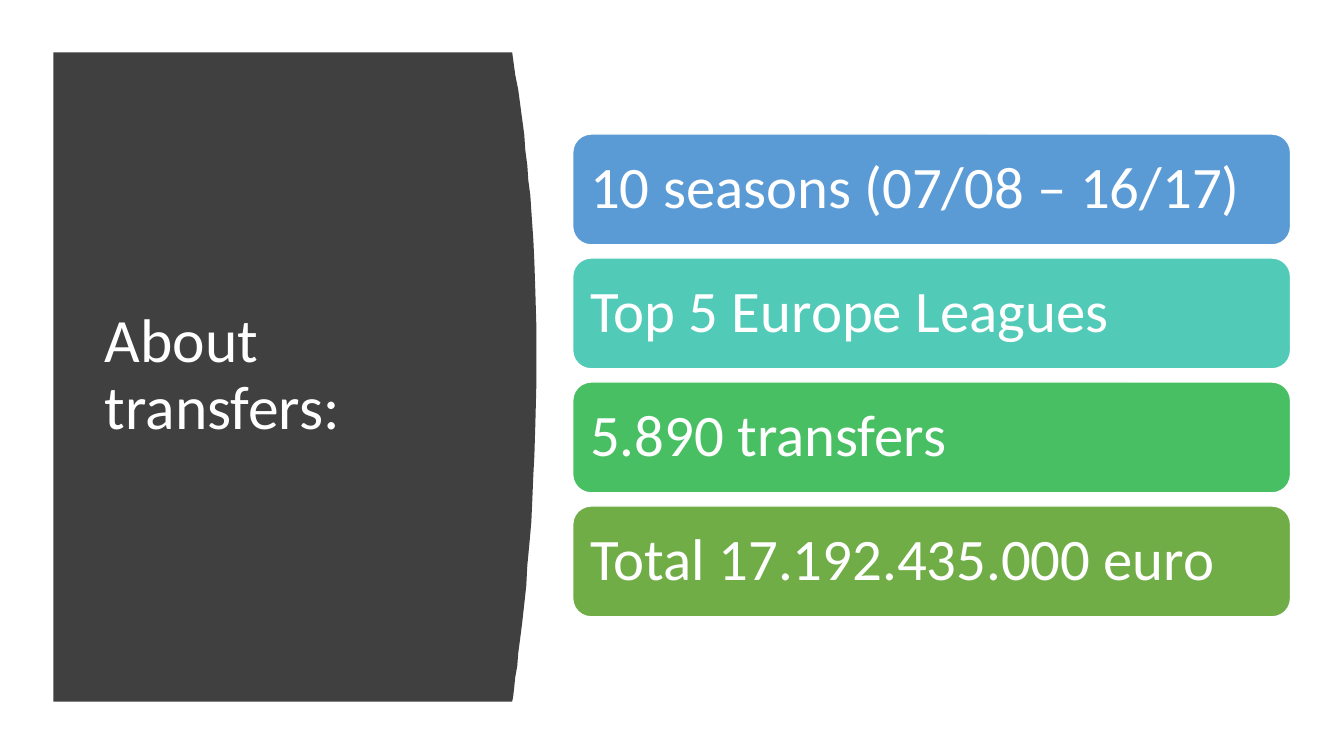
from dataclasses import dataclass

from pptx import Presentation
from pptx.dml.color import RGBColor
from pptx.enum.shapes import MSO_SHAPE
from pptx.enum.text import MSO_ANCHOR, PP_ALIGN
from pptx.util import Inches, Pt

ROUNDED = MSO_SHAPE.ROUNDED_RECTANGLE
MIDDLE = MSO_ANCHOR.MIDDLE
LEFT = PP_ALIGN.LEFT


@dataclass(frozen=True)
class Theme:
    font: str = "Calibri"
    light: str = "FFFFFF"
    panel: str = "404040"
    bars: tuple = ("5B9BD5", "52CAB8", "49BF64", "70AD47")
    title_size: int = 44
    bar_size: int = 42
    outline: int = 1
    line_spacing: float = 0.9


PANEL_LEFT, PANEL_TOP, PANEL_BOTTOM = 0.53, 0.52, 6.96
PANEL_CURVE = [
    (5.08, 0.52), (5.11, 0.74), (5.14, 0.89), (5.16, 1.04), (5.18, 1.19),
    (5.20, 1.34), (5.21, 1.49), (5.23, 1.64), (5.24, 1.79), (5.26, 1.94),
    (5.27, 2.09), (5.28, 2.24), (5.29, 2.38), (5.30, 2.60), (5.31, 2.90),
    (5.32, 3.25), (5.32, 3.80), (5.31, 4.20), (5.30, 4.52), (5.29, 4.71),
    (5.28, 4.95), (5.27, 5.18), (5.25, 5.40), (5.23, 5.61), (5.22, 5.81),
    (5.20, 5.99), (5.18, 6.17), (5.16, 6.33), (5.14, 6.48), (5.13, 6.61),
    (5.11, 6.72), (5.10, 6.82), (5.09, 6.91), (5.08, 6.96),
]

BAR_LEFT, BAR_TOP, BAR_WIDTH, BAR_HEIGHT = 5.68, 1.33, 7.12, 1.1
BAR_GAP = 0.13
FACTS = [
    "10 seasons (07/08 – 16/17)",
    "Top 5 Europe Leagues",
    "5.890 transfers",
    "Total 17.192.435.000 euro",
]


class SlideBuilder:
    def __init__(self, slide, theme):
        self.slide = slide
        self.theme = theme

    def paint(self, shape, color):
        shape.shadow.inherit = False
        shape.fill.solid()
        shape.fill.fore_color.rgb = RGBColor.from_string(color)

    def add_text(self, shape, text, size, side_inset):
        frame = shape.text_frame
        frame.word_wrap = True
        frame.vertical_anchor = MIDDLE
        frame.margin_left = frame.margin_right = Inches(side_inset)
        paragraph = frame.paragraphs[0]
        paragraph.alignment = LEFT
        paragraph.line_spacing = self.theme.line_spacing
        run = paragraph.add_run()
        run.text = text
        run.font.name = self.theme.font
        run.font.size = Pt(size)
        run.font.color.rgb = RGBColor.from_string(self.theme.light)

    def panel(self, left, top, bottom, curve):
        """Draw the dark panel, whose right edge follows the curve downwards."""
        points = [(Inches(x), Inches(y)) for x, y in curve + [(left, bottom)]]
        builder = self.slide.shapes.build_freeform(Inches(left), Inches(top))
        builder.add_line_segments(points, close=True)
        shape = builder.convert_to_shape()
        self.paint(shape, self.theme.panel)
        shape.line.fill.background()

    def title(self, text, left, top, width, height):
        box = self.slide.shapes.add_textbox(
            Inches(left), Inches(top), Inches(width), Inches(height))
        self.add_text(box, text, self.theme.title_size, 0.1)

    def bar(self, text, color, left, top, width, height):
        shape = self.slide.shapes.add_shape(
            ROUNDED, Inches(left), Inches(top), Inches(width), Inches(height))
        self.paint(shape, color)
        shape.line.color.rgb = RGBColor.from_string(self.theme.light)
        shape.line.width = Pt(self.theme.outline)
        self.add_text(shape, text, self.theme.bar_size, 0.12)


def main():
    presentation = Presentation()
    presentation.slide_width = Inches(13.33)
    presentation.slide_height = Inches(7.5)
    slide = presentation.slides.add_slide(presentation.slide_layouts[6])
    theme = Theme()
    builder = SlideBuilder(slide, theme)

    builder.panel(PANEL_LEFT, PANEL_TOP, PANEL_BOTTOM, PANEL_CURVE)
    builder.title("About transfers:", 0.94, 1.11, 3.74, 5.24)
    for index, (fact, color) in enumerate(zip(FACTS, theme.bars)):
        top = BAR_TOP + index * (BAR_HEIGHT + BAR_GAP)
        builder.bar(fact, color, BAR_LEFT, top, BAR_WIDTH, BAR_HEIGHT)

    presentation.save("out.pptx")


if __name__ == "__main__":
    main()
